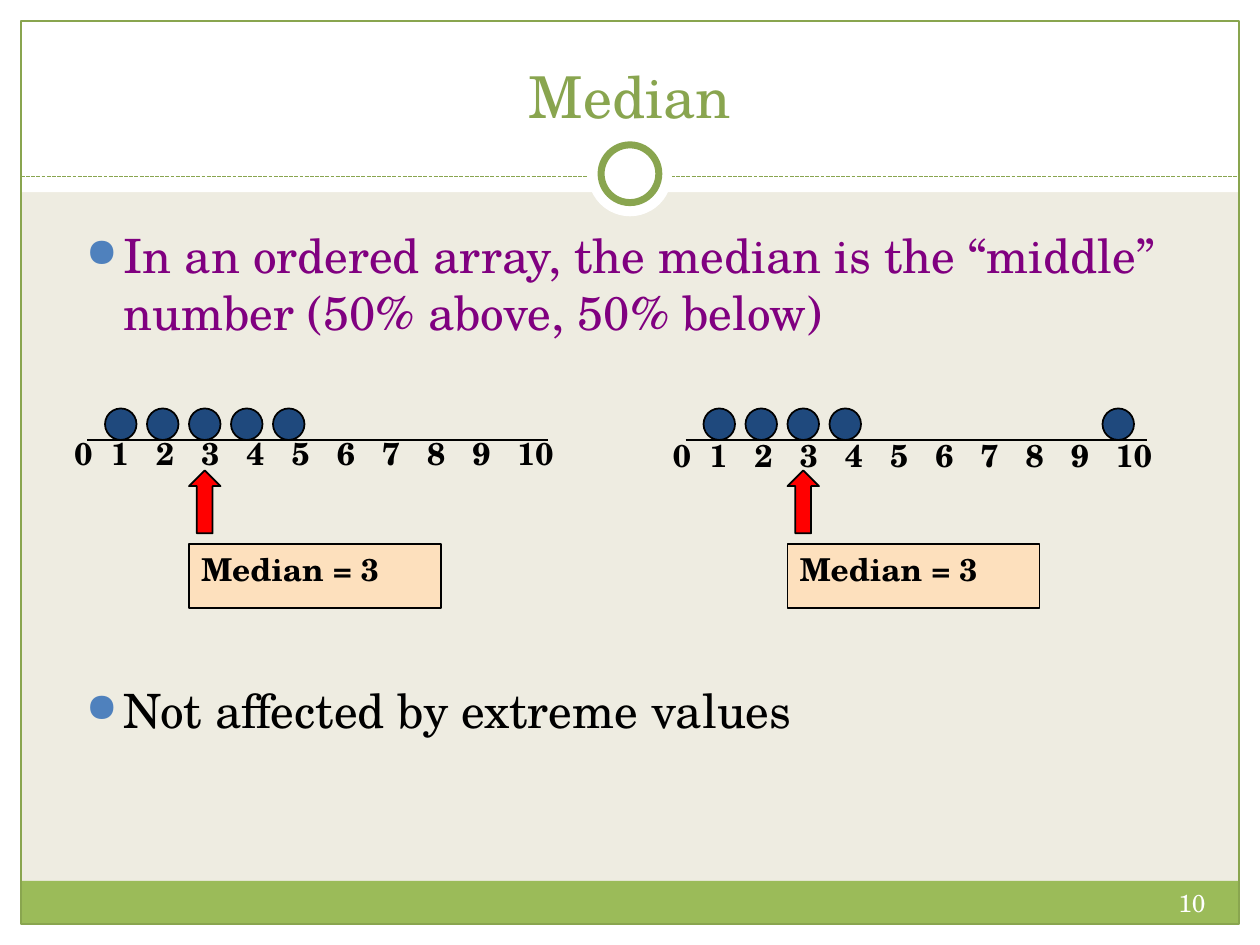
"""Build a slide on the median, with two dot plots on number lines."""
import pptx
import pptx.dml.color
import pptx.enum.dml
import pptx.enum.shapes
import pptx.enum.text
import pptx.oxml
import pptx.util
from lxml import etree


class Theme:
    font = "TeX Gyre Schola"
    paper, white, black = "EEECE1", "FFFFFF", "000000"
    band, accent, bullet = "9BBB59", "89A54F", "4F81BD"
    purple, dot, arrow, label = "800080", "1F497D", "FF0000", "FDE0BD"
    title, body, small, page = 33, 27, 18, 14


RGB = pptx.dml.color.RGBColor.from_string
KIND = pptx.enum.shapes.MSO_SHAPE
ALIGN = pptx.enum.text.PP_ALIGN
COLUMNS, ROWS = 120, 90

prs = pptx.Presentation()
prs.slide_width, prs.slide_height = pptx.util.Inches(10), pptx.util.Inches(7.5)
CELL = prs.slide_width / COLUMNS
s = prs.slides.add_slide(prs.slide_layouts[6])
s.background.fill.solid()
s.background.fill.fore_color.rgb = RGB(Theme.paper)


def add_shape(kind, grid, fill=None, line=None, width=1):
    sp = s.shapes.add_shape(kind, *(round(n * CELL) for n in grid))
    sp.shadow.inherit = False
    if fill:
        sp.fill.solid()
        sp.fill.fore_color.rgb = RGB(fill)
    else:
        sp.fill.background()
    if line:
        sp.line.color.rgb = RGB(line)
        sp.line.width = pptx.util.Pt(width)
    else:
        sp.line.fill.background()
    return sp


def add_text(p, text, size, color, bold=False, align=ALIGN.LEFT):
    p.alignment = align
    r = p.add_run()
    r.text = text
    r.font.name, r.font.size, r.font.bold = Theme.font, pptx.util.Pt(size), bold
    r.font.color.rgb = RGB(color)


for grid, fill in [
    ((0, 88, COLUMNS, 2), Theme.white),
    ((0, 0, COLUMNS, 18.3), Theme.white),
    ((0, 0, 2, ROWS), Theme.white),
    ((118, 0, 2, ROWS), Theme.white),
    ((2, 83.9, 116, 4.1), Theme.band),
]:
    add_shape(KIND.RECTANGLE, grid, fill)
add_shape(KIND.RECTANGLE, (2, 2, 116, 86), line=Theme.accent, width=0.75)

plots = [
    (0, 40.7, (10, 14, 18, 22, 26)),
    (57, 40.9, (10, 14, 18, 22, 48)),
]
rules = [(2, 118, 16.8, Theme.accent, 0.75)]
rules += [(x + 8.3, x + 52.2, 41.9, Theme.black, 1) for x, _, _ in plots]
for left, right, row, color, width in rules:
    line = s.shapes.add_connector(
        pptx.enum.shapes.MSO_CONNECTOR.STRAIGHT,
        *(round(n * CELL) for n in (left, row, right, row)))
    line.line.color.rgb = RGB(color)
    line.line.width = pptx.util.Pt(width)
    if color == Theme.accent:
        line.line.dash_style = pptx.enum.dml.MSO_LINE.SQUARE_DOT
    etree.SubElement(line._element.spPr, pptx.oxml.ns.qn("a:effectLst"))

add_shape(KIND.OVAL, (56, 12.6, 8, 8), Theme.white)
add_shape(KIND.OVAL, (57.25, 13.8, 5.5, 5.5), Theme.white, Theme.accent, 4)

frames = []
for grid in [(76, 84, 40, 4.8), (4, 3, 112, 10), (7, 21, 110, 66)] + [
        (x + 5.9, row, 52.3, 4.8) for x, row, _ in plots]:
    tf = s.shapes.add_textbox(*(round(n * CELL) for n in grid)).text_frame
    tf.word_wrap = True
    frames.append(tf)
page, title, body, *scales = frames

add_text(page.paragraphs[0], "10", Theme.page, Theme.white, align=ALIGN.RIGHT)
title.vertical_anchor = pptx.enum.text.MSO_ANCHOR.BOTTOM
add_text(title.paragraphs[0], "Median", Theme.title, Theme.accent, align=ALIGN.CENTER)

points = [
    ("In an ordered array, the median is the “middle” number (50% above, 50% below)",
     Theme.purple, 0),
    ("Not affected by extreme values", Theme.black, 195),
]
for i, (text, color, gap) in enumerate(points):
    p = body.add_paragraph() if i else body.paragraphs[0]
    p.space_before = pptx.util.Pt(gap)
    add_text(p, text, Theme.body, color)
    pPr = p._p.get_or_add_pPr()
    indent = round(3.6 * CELL)
    pPr.set("marL", str(indent))
    pPr.set("indent", str(-indent))
    buClr = etree.SubElement(pPr, pptx.oxml.ns.qn("a:buClr"))
    etree.SubElement(buClr, pptx.oxml.ns.qn("a:srgbClr"), val=Theme.bullet)
    etree.SubElement(pPr, pptx.oxml.ns.qn("a:buSzPct"), val="85000")
    etree.SubElement(pPr, pptx.oxml.ns.qn("a:buChar"), char="●")

for (x, _, dots), scale in zip(plots, scales):
    p = scale.paragraphs[0]
    add_text(p, "\t".join(str(n) for n in range(11)), Theme.small, Theme.black, True)
    tabs = etree.SubElement(p._p.get_or_add_pPr(), pptx.oxml.ns.qn("a:tabLst"))
    for n in range(10):
        etree.SubElement(tabs, pptx.oxml.ns.qn("a:tab"),
                         pos=str(round((3.5 + 4.3 * n) * CELL)), algn="l")
    for column in dots:
        add_shape(KIND.OVAL, (x + column, 38.9, 3, 3), Theme.dot, Theme.black)
    add_shape(KIND.UP_ARROW, (x + 18, 44.8, 3, 6), Theme.arrow, Theme.black)
    sp = add_shape(KIND.RECTANGLE, (x + 18, 51.8, 24, 6.1), Theme.label, Theme.black)
    tf = sp.text_frame
    tf.word_wrap = True
    tf.vertical_anchor = pptx.enum.text.MSO_ANCHOR.TOP
    add_text(tf.paragraphs[0], "Median = 3", Theme.small, Theme.black, True)

prs.save("out.pptx")
